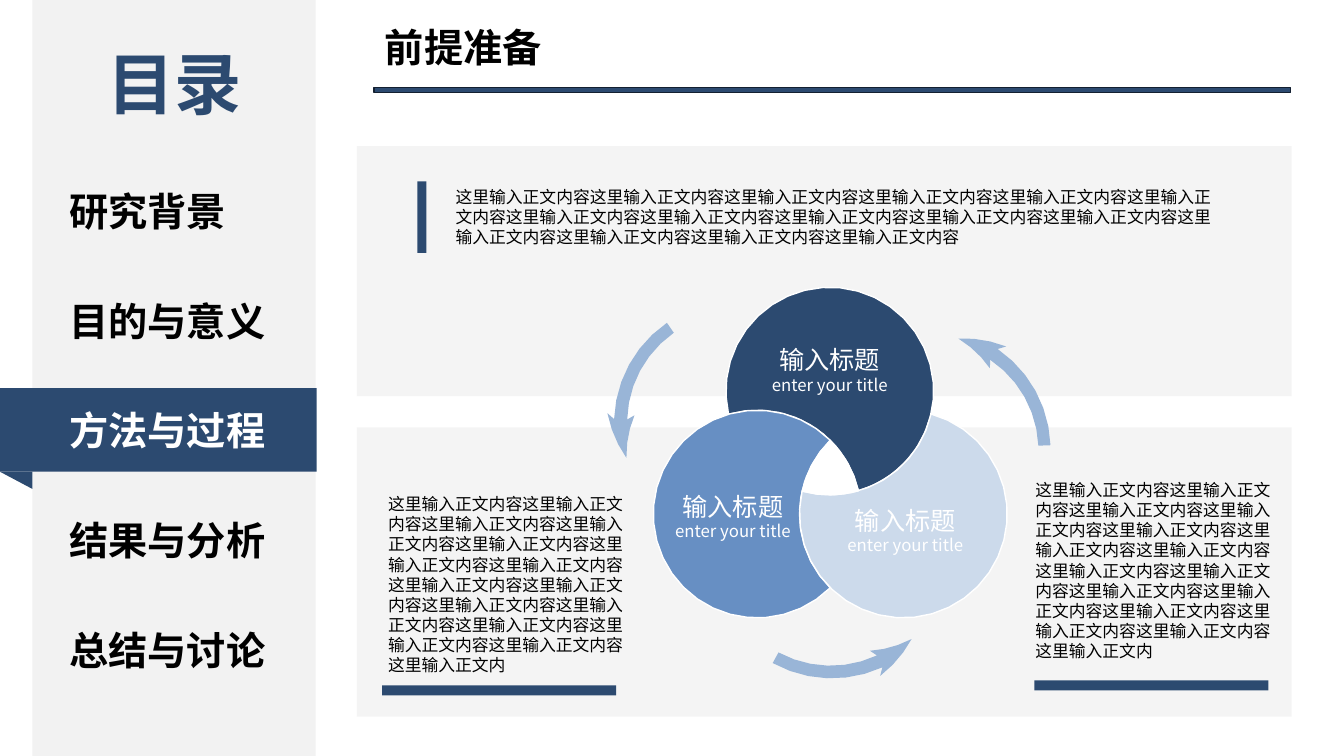
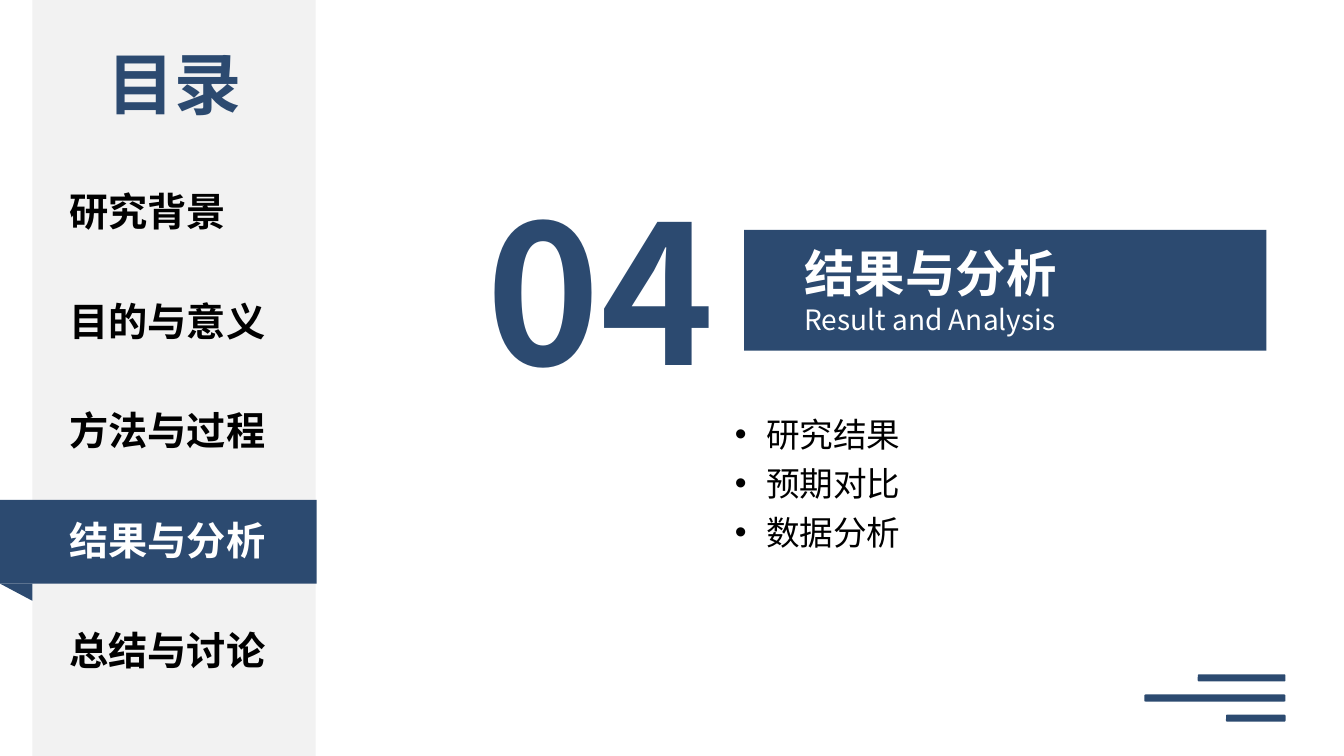
from math import acos, atan2, ceil, cos, hypot, pi, radians, sin
from lxml import etree
from pptx import Presentation
from pptx.dml.color import RGBColor
from pptx.enum.shapes import MSO_SHAPE
from pptx.enum.text import MSO_AUTO_SIZE, PP_ALIGN
from pptx.oxml.ns import qn
from pptx.util import Inches, Pt

RECTANGLE = MSO_SHAPE.RECTANGLE
ROUNDED = MSO_SHAPE.ROUNDED_RECTANGLE
TRIANGLE = MSO_SHAPE.RIGHT_TRIANGLE
LEFT, CENTER = PP_ALIGN.LEFT, PP_ALIGN.CENTER
GROW = MSO_AUTO_SIZE.SHAPE_TO_FIT_TEXT

FONT = "Noto Sans CJK SC"
NAVY, NAVY_EDGE, BLUE, PALE, ARROW = "2C4A70", "132031", "678FC3", "CCDAEB", "99B5D7"
GREY, WHITE, BLACK = "F2F2F2", "FFFFFF", "000000"
WIDTH, HEIGHT = 13.33, 7.5

CONTENTS_TITLE = "目录"
SECTIONS = ["研究背景", "目的与意义", "方法与过程", "结果与分析", "总结与讨论"]
SECTION_FIRST, SECTION_LAST = 1.81, 6.16
SIDEBAR_LEFT, SIDEBAR_WIDTH = 0.32, 2.81
BAND_WIDTH, BAND_HEIGHT = 3.14, 0.83

METHOD_TITLE = "前提准备"
BODY = "这里输入正文内容" * 15
PANELS = [(3.54, 4.24, 9.27, 2.87), (3.54, 1.45, 9.27, 2.48)]
PANEL_OPACITY = 80
BODY_TEXTS = [
    (BODY, (4.42, 1.8, 7.85, 0.71)),
    (BODY[:-1], (3.75, 4.85, 2.65, 1.92)),
    (BODY[:-1], (10.17, 4.71, 2.65, 1.92)),
]
ACCENTS = [(3.79, 6.8, 2.32, 0.1), (10.26, 6.75, 2.32, 0.1), (4.14, 1.8, 0.09, 0.71)]

CIRCLE_LABEL = [("输入标题", 18, False), ("enter your title", 12, False)]
RADIUS = 1.03
CIRCLES = [
    ((8.23, 3.88), NAVY, (7.15, 3.37)),
    ((7.51, 5.1), BLUE, (6.19, 4.82)),
    ((8.96, 5.1), PALE, (7.9, 4.96)),
]
ARROW_TURNS = [((7.3, 4.2), 116.5), ((9.21, 4.46), -121), ((8.25, 5.52), 0)]
ARROW_OUTLINE = [
    (119, 1.21), (65.5, 1.21), (68, 1.28), (46, 1.14),
    (68, 1.01), (65.5, 1.08), (119, 1.09),
]
ARC_STEP = radians(10)

CHAPTER_NUMBER = "04"
CHAPTER_NAME = "Result and Analysis"
CHAPTER_POINTS = ["研究结果", "预期对比", "数据分析"]
STRIPE_WIDTHS = [0.87, 1.4, 0.59]
STRIPE_RIGHT, STRIPE_TOP, STRIPE_PITCH = 12.75, 6.69, 0.2


def color(value):
    return RGBColor.from_string(value)


def paint(shape, fill, line=None):
    shape.shadow.inherit = False
    shape.fill.solid()
    shape.fill.fore_color.rgb = color(fill)
    if line:
        shape.line.color.rgb = color(line)
        shape.line.width = Pt(1)
    else:
        shape.line.fill.background()


def add_block(shapes, box, fill, line=None, kind=RECTANGLE):
    shape = shapes.add_shape(kind, *map(Inches, box))
    paint(shape, fill, line)
    return shape


def add_panel(slide, box):
    panel = add_block(slide.shapes, box, GREY)
    fill_color = panel._element.spPr.find(qn("a:solidFill"))[0]
    etree.SubElement(fill_color, qn("a:alpha"), val=str(PANEL_OPACITY * 1000))


def add_outline(slide, points, fill, line=None):
    corners = [(Inches(x), Inches(y)) for x, y in points]
    builder = slide.shapes.build_freeform(*corners[0], scale=1.0)
    builder.add_line_segments(corners[1:], close=True)
    paint(builder.convert_to_shape(), fill, line)


def add_text(slide, lines, box, fill=BLACK, align=LEFT, bullet=False, spacing=None):
    frame = slide.shapes.add_textbox(*map(Inches, box)).text_frame
    frame.word_wrap = True
    frame.auto_size = GROW
    for index, (text, size, bold) in enumerate(lines):
        paragraph = frame.add_paragraph() if index else frame.paragraphs[0]
        paragraph.text = text
        paragraph.alignment = align
        properties = paragraph._p.get_or_add_pPr()
        if spacing:
            paragraph.line_spacing = Pt(spacing)
        if bullet:
            properties.set("marL", str(Inches(0.31)))
            properties.set("indent", str(-Inches(0.31)))
            etree.SubElement(properties, qn("a:buFont"), typeface="Arial")
            etree.SubElement(properties, qn("a:buChar"), char="•")
        font = paragraph.font
        font.size, font.bold, font.name = Pt(size), bold, FONT
        font.color.rgb = color(fill)
        etree.SubElement(properties.get_or_add_defRPr(), qn("a:ea"), typeface=FONT)


def sweep(center, start, end, start_radius=RADIUS, end_radius=RADIUS):
    steps = max(1, ceil(abs(end - start) / ARC_STEP))
    points = []
    for step in range(steps):
        share = step / steps
        angle = start + (end - start) * share
        radius = start_radius + (end_radius - start_radius) * share
        points.append((center[0] + radius * cos(angle), center[1] + radius * sin(angle)))
    return points


def crossing(center, other):
    dx, dy = other[0] - center[0], other[1] - center[1]
    return atan2(dy, dx), acos(hypot(dx, dy) / 2 / RADIUS)


def crescent(center, cutter):
    toward, half = crossing(center, cutter)
    return (sweep(center, toward + half, toward + 2 * pi - half)
            + sweep(cutter, toward + pi + half, toward + pi - half))


def shared_core(centers):
    points = []
    for index in reversed(range(len(centers))):
        center = centers[index]
        toward, half = crossing(center, centers[(index + 1) % len(centers)])
        back, back_half = crossing(center, centers[index - 1])
        start = toward - half
        points += sweep(center, start, start + (back + back_half - start) % (2 * pi))
    return points


def add_cycle(slide):
    centers = [center for center, _, _ in CIRCLES]
    for index, (center, fill, _) in enumerate(CIRCLES):
        cutter = centers[(index + 1) % len(centers)]
        add_outline(slide, crescent(center, cutter), fill, WHITE)
    add_outline(slide, shared_core(centers), WHITE, WHITE)
    for _, _, position in CIRCLES:
        add_text(slide, CIRCLE_LABEL, (*position, 2.16, 0.61), WHITE, CENTER)


def add_arrows(slide):
    for center, turn in ARROW_TURNS:
        points = []
        following = ARROW_OUTLINE[1:] + ARROW_OUTLINE[:1]
        for (start, radius), (end, next_radius) in zip(ARROW_OUTLINE, following):
            points += sweep(center, radians(start + turn), radians(end + turn),
                            radius, next_radius)
        add_outline(slide, points, ARROW)


def add_sidebar(slide, current, band_top):
    add_block(slide.shapes, (SIDEBAR_LEFT, 0, SIDEBAR_WIDTH, HEIGHT), GREY)
    band = slide.shapes.add_group_shape().shapes
    add_block(band, (0, band_top, BAND_WIDTH, BAND_HEIGHT), NAVY)
    fold_box = (0, band_top + BAND_HEIGHT, SIDEBAR_LEFT, 0.17)
    add_block(band, fold_box, NAVY, kind=TRIANGLE).rotation = 180
    add_text(slide, [(CONTENTS_TITLE, 48, True)], (0.76, 0.37, 1.94, 0.91), NAVY, CENTER)
    pitch = (SECTION_LAST - SECTION_FIRST) / (len(SECTIONS) - 1)
    for index, section in enumerate(SECTIONS):
        box = (0.59, SECTION_FIRST + index * pitch, 2.21, 0.57)
        add_text(slide, [(section, 28, True)], box, WHITE if index == current else BLACK)


def build_method(slide):
    for box in PANELS:
        add_panel(slide, box)
    add_sidebar(slide, 2, 3.85)
    add_block(slide.shapes, (3.71, 0.87, 9.09, 0.05), NAVY, NAVY_EDGE)
    add_text(slide, [(METHOD_TITLE, 28, True)], (3.72, 0.18, 4.93, 0.57))
    add_cycle(slide)
    for text, box in BODY_TEXTS:
        add_text(slide, [(text, 12, False)], box)
    for box in ACCENTS:
        add_block(slide.shapes, box, NAVY)
    add_arrows(slide)


def build_chapter(slide):
    current = 3
    add_block(slide.shapes, (7.38, 2.28, 5.18, 1.2), NAVY)
    add_sidebar(slide, current, 4.96)
    add_text(slide, [(CHAPTER_NUMBER, 138, True)], (4.35, 1.66, 3.22, 2.42), NAVY, CENTER)
    heading = [(SECTIONS[current], 36, True), (CHAPTER_NAME, 20, False)]
    add_text(slide, heading, (7.88, 2.35, 4.5, 1.04), WHITE)
    points = [(point, 24, False) for point in CHAPTER_POINTS]
    add_text(slide, points, (7.19, 3.97, 4.44, 2.02), bullet=True, spacing=35)
    stripes = slide.shapes.add_group_shape().shapes
    for index, width in enumerate(STRIPE_WIDTHS):
        top = STRIPE_TOP + index * STRIPE_PITCH
        add_block(stripes, (STRIPE_RIGHT - width, top, width, 0.07), NAVY, kind=ROUNDED)


def main():
    presentation = Presentation()
    presentation.slide_width, presentation.slide_height = Inches(WIDTH), Inches(HEIGHT)
    blank = presentation.slide_layouts[6]
    for build in (build_method, build_chapter):
        build(presentation.slides.add_slide(blank))
    presentation.save("out.pptx")


if __name__ == "__main__":
    main()
